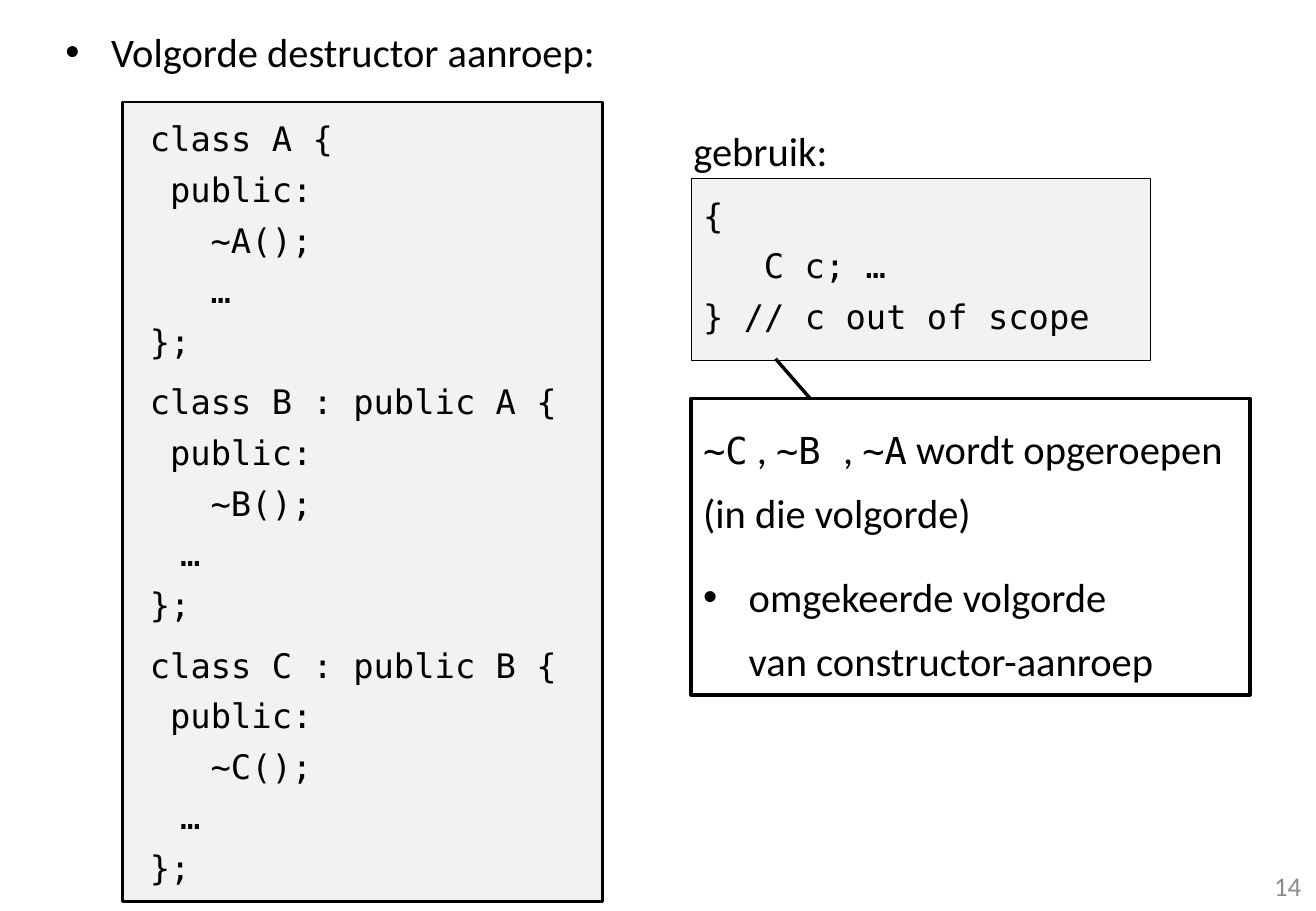
from lxml.etree import SubElement
from pptx import Presentation
from pptx.dml.color import RGBColor as Rgb
from pptx.enum.shapes import MSO_SHAPE as Shape
from pptx.enum.text import MSO_ANCHOR as Anchor, PP_ALIGN as Align
from pptx.oxml.ns import qn
from pptx.util import Pt

# Content: code lines are (text, indent in points)
TITLE = "Volgorde destructor aanroep:"
CLASSES = [
    [("class A {", 0), ("public:", 12), ("~A();", 36), ("…", 36), ("};", 0)],
    [("class B : public A {", 0), ("public:", 12), ("~B();", 36), ("…", 18), ("};", 0)],
    [("class C : public B {", 0), ("public:", 12), ("~C();", 36), ("…", 18), ("};", 0)],
]
USAGE_LABEL = "gebruik:"
USAGE = [("{", 0), ("C c; …", 36), ("} // c out of scope", 0)]
CALL_ORDER = [
    ("~C", "inline"), (" , ", "body"), ("~B ", "inline"), (", ", "body"),
    ("~A", "inline"), (" wordt opgeroepen (in die volgorde)", "body"),
]
REMARK = ["omgekeerde volgorde", "van constructor-aanroep"]
PAGE_NUMBER = "14"

# Theme: type styles are (font, size, colour)
THEME = {
    "body": ("Calibri", 24, "000000"),
    "inline": ("DejaVu Sans Mono", 22, "000000"),
    "code": ("DejaVu Sans Mono", 20, "000000"),
    "number": ("Calibri", 16, "8C8C8C"),
    "line": "000000", "code_fill": "F2F2F2", "callout_fill": "FFFFFF",
}

# Layout in points: left, top, width, height
PAGE_SIZE = (780, 540)
TITLE_BOX = (31.7, 2.9, 650, 55.4)
CLASS_BOX = (72.7, 60.5, 284.4, 473.8)
LABEL_BOX = (403.9, 71.3, 172, 36)
USAGE_BOX = (409.7, 105.8, 272.2, 108)
CALLOUT_BOX = (409.7, 236.2, 331.2, 175.7)
NUMBER_BOX = (596.2, 510.5, 182.2, 28.8)
CALLOUT_POINTER = (0, 0.213, -0.134, 0.151)
BULLET_INDENT = 27
CLASS_INDENT = 9
CODE_LEADING, CALLOUT_LEADING = 30, 38


def prepare_frame(box, anchor):
    frame = box.text_frame
    frame.word_wrap = True
    frame.vertical_anchor = anchor
    return frame


def add_text_area(page, place, anchor=Anchor.TOP):
    return prepare_frame(page.shapes.add_textbox(*map(Pt, place)), anchor)


def add_panel(page, place, kind=Shape.RECTANGLE, fill="code_fill", line=0.75,
              anchor=Anchor.TOP, adjustments=()):
    box = page.shapes.add_shape(kind, *map(Pt, place))
    box.shadow.inherit = False
    box.fill.solid()
    box.fill.fore_color.rgb = Rgb.from_string(THEME[fill])
    box.line.color.rgb = Rgb.from_string(THEME["line"])
    box.line.width = Pt(line)
    for index, value in enumerate(adjustments):
        box.adjustments[index] = value
    return prepare_frame(box, anchor)


def write(frame, text, style="body", indent=0, bullet=False, leading=None,
          before=0, align=Align.LEFT):
    """Add one paragraph; text is a string or a list of (text, style)."""
    first = frame.paragraphs[0]
    para = frame.add_paragraph() if first.runs else first
    para.alignment = align
    para.space_before = Pt(before)
    if leading:
        para.line_spacing = Pt(leading)
    props = para._p.get_or_add_pPr()
    props.set("marL", str(Pt(indent)))
    props.set("indent", str(Pt(-indent if bullet else 0)))
    if bullet:
        SubElement(props, qn("a:buFont")).set("typeface", "Arial")
        SubElement(props, qn("a:buChar")).set("char", "•")
    for words, name in [(text, style)] if isinstance(text, str) else text:
        span = para.add_run()
        span.text = words
        font, size, colour = THEME[name]
        span.font.name = font
        span.font.size = Pt(size)
        span.font.color.rgb = Rgb.from_string(colour)


def write_code(frame, lines, margin=0, before=0):
    for index, (text, indent) in enumerate(lines):
        write(frame, text, style="code", indent=margin + indent,
              leading=CODE_LEADING, before=0 if index else before)


def main():
    deck = Presentation()
    deck.slide_width, deck.slide_height = map(Pt, PAGE_SIZE)
    page = deck.slides.add_slide(deck.slide_layouts[6])

    # Title
    write(add_text_area(page, TITLE_BOX, Anchor.MIDDLE), TITLE,
          indent=BULLET_INDENT, bullet=True)

    # Usage example
    write_code(add_panel(page, USAGE_BOX), USAGE)

    # Class definitions
    classes = add_panel(page, CLASS_BOX, line=1.5)
    for index, lines in enumerate(CLASSES):
        write_code(classes, lines, margin=CLASS_INDENT, before=6 if index else 0)

    # Usage label
    write(add_text_area(page, LABEL_BOX), USAGE_LABEL)

    # Callout with the call order
    callout = add_panel(page, CALLOUT_BOX, kind=Shape.LINE_CALLOUT_1,
                        fill="callout_fill", line=2, anchor=Anchor.MIDDLE,
                        adjustments=CALLOUT_POINTER)
    write(callout, CALL_ORDER, leading=CALLOUT_LEADING)
    for index, text in enumerate(REMARK):
        write(callout, text, indent=BULLET_INDENT, bullet=index == 0,
              leading=CALLOUT_LEADING, before=0 if index else 12)

    # Page number
    write(add_text_area(page, NUMBER_BOX, Anchor.MIDDLE), PAGE_NUMBER,
          style="number", align=Align.RIGHT)

    deck.save("out.pptx")


if __name__ == "__main__":
    main()
